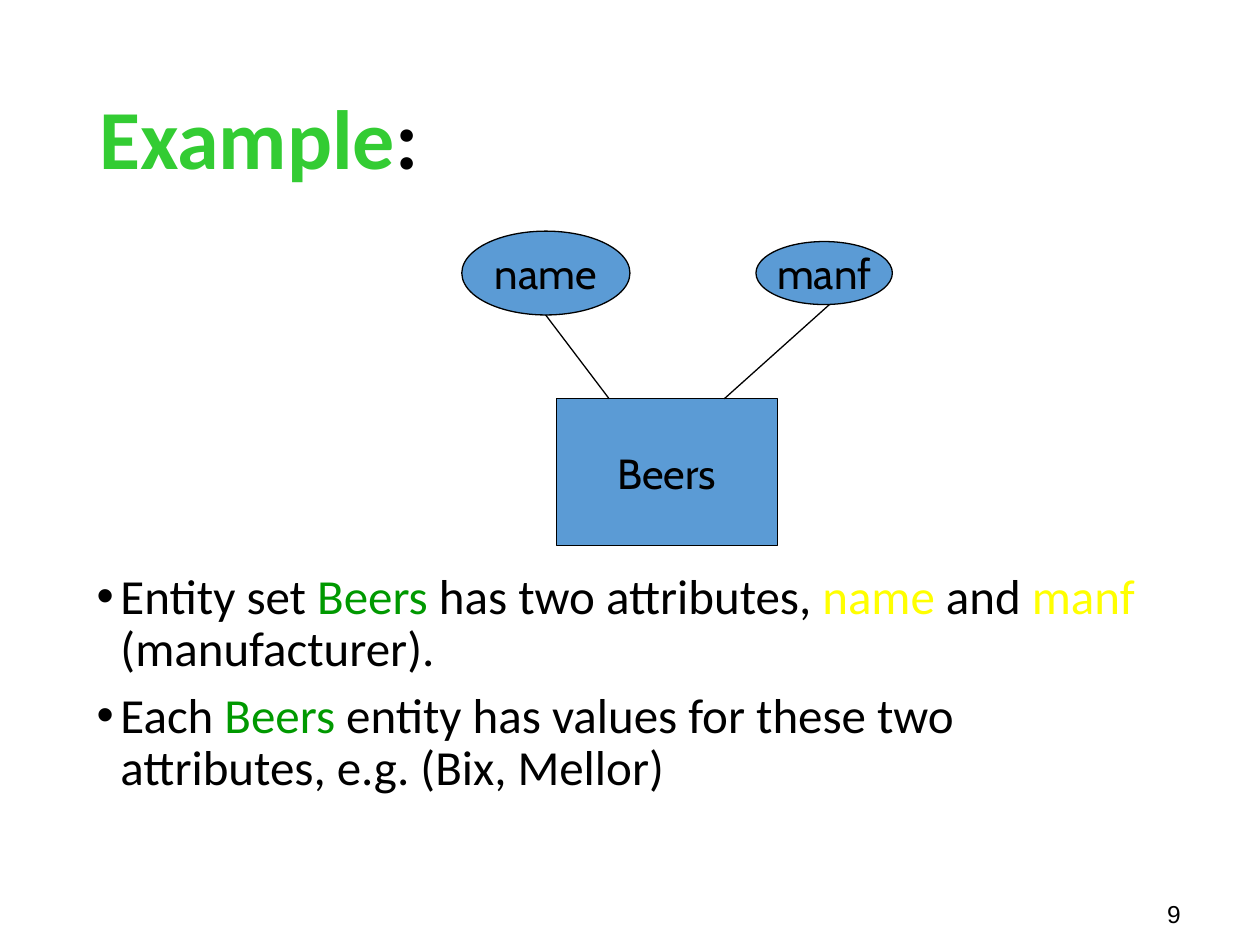
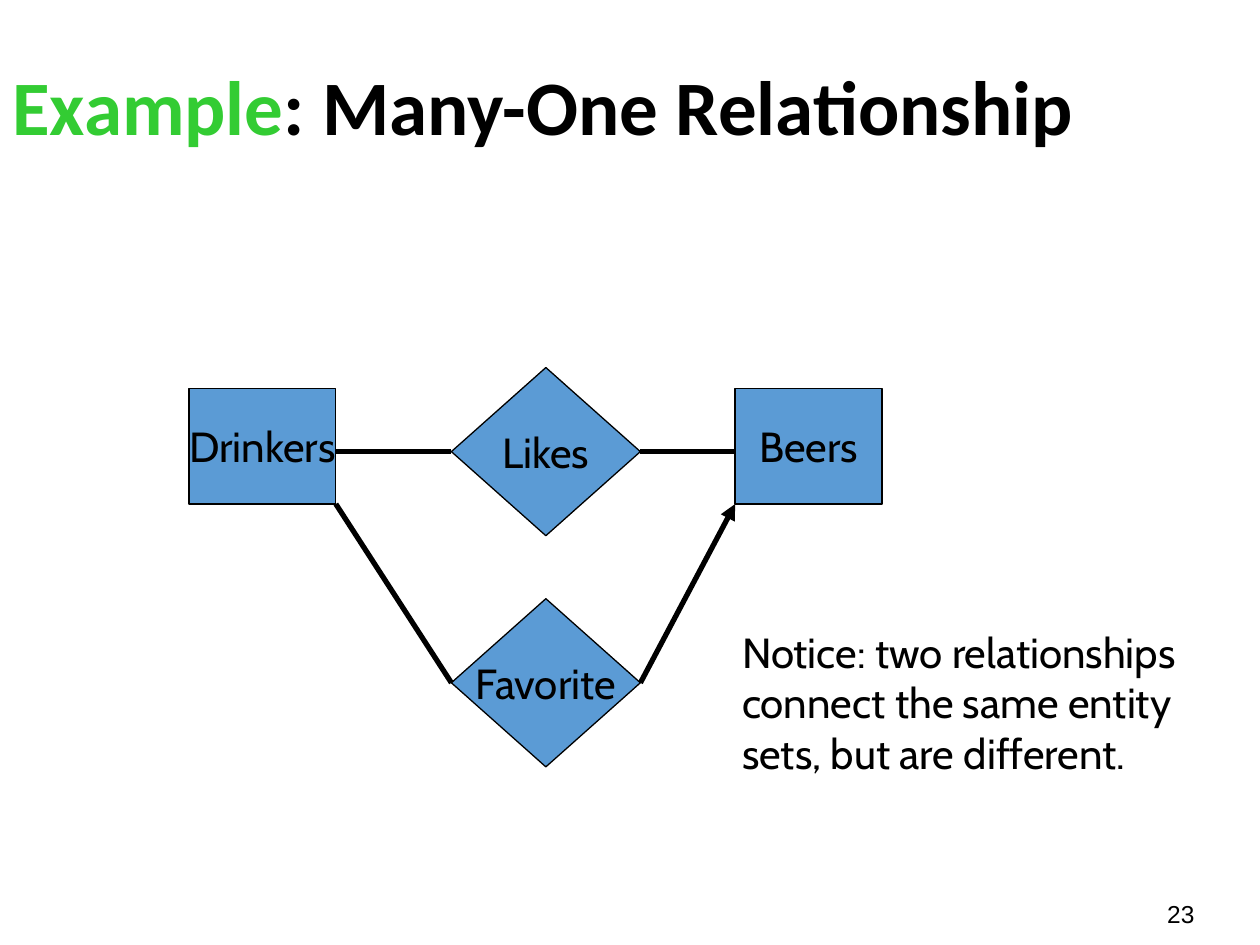
from lxml import etree
from pptx import Presentation
from pptx.dml.color import RGBColor
from pptx.enum.shapes import MSO_CONNECTOR, MSO_SHAPE
from pptx.enum.text import MSO_ANCHOR, PP_ALIGN
from pptx.oxml.ns import qn
from pptx.util import Cm, Pt

RECT, OVAL, DIAMOND = MSO_SHAPE.RECTANGLE, MSO_SHAPE.OVAL, MSO_SHAPE.DIAMOND
STRAIGHT = MSO_CONNECTOR.STRAIGHT
MIDDLE, CENTER = MSO_ANCHOR.MIDDLE, PP_ALIGN.CENTER
HEX = {"ink": "000000", "lead": "33CC33", "set": "009900",
       "attr": "FFFF00", "node": "5B9BD5"}
RGB = {name: RGBColor.from_string(code) for name, code in HEX.items()}


def fill_text(frame, paras, font, size, bold=False):
    """Write paragraphs, each a list of (text, colour name) runs."""
    for i, runs in enumerate(paras):
        para = frame.add_paragraph() if i else frame.paragraphs[0]
        for text, tint in runs:
            run = para.add_run()
            run.text = text
            run.font.name, run.font.size, run.font.bold = font, Pt(size), bold
            run.font.color.rgb = RGB[tint]


def add_box(slide, place, wrap=True):
    box = slide.shapes.add_textbox(*map(Cm, place))
    box.text_frame.word_wrap = wrap
    return box.text_frame


deck = Presentation()
deck.slide_width, deck.slide_height = Cm(25.4), Cm(19.05)
blank = deck.slide_layouts[6]

# Slide 2 grid: two entity boxes in a row, two diamonds in a column
box_w, box_h, box_y = 2.96, 2.33, 7.83
dia_w, dia_h, dia_x = 3.81, 3.39, 9.1
left_x, right_x = 3.81, 14.82
like_y, fav_y = 7.41, 12.07
like_mid, fav_mid = like_y + dia_h / 2, fav_y + dia_h / 2
left_end, dia_end, foot = left_x + box_w, dia_x + dia_w, box_y + box_h

# Nodes: shape, left, top, width, height, label
# Links: from x, from y, to x, to y, arrowhead
pages = [
    {"num": "9", "place": (1.75, 1.02, 21.92, 3.68), "size": 48, "rest": ":",
     "nodes": [(RECT, 11.22, 8.04, 4.45, 2.96, "Beers"),
               (OVAL, 9.31, 4.66, 3.39, 1.69, "name"),
               (OVAL, 15.24, 4.87, 2.75, 1.27, "manf")],
     "weight": 0.75,
     "links": [(11, 6.35, 12.28, 8.04, False),
               (16.72, 6.14, 14.6, 8.04, False)]},
    {"num": "23", "place": (0, 0.64, 25.4, 3.18), "size": 44,
     "rest": ": Many-One Relationship",
     "nodes": [(RECT, left_x, box_y, box_w, box_h, "Drinkers"),
               (RECT, right_x, box_y, box_w, box_h, "Beers"),
               (DIAMOND, dia_x, like_y, dia_w, dia_h, "Likes"),
               (DIAMOND, dia_x, fav_y, dia_w, dia_h, "Favorite")],
     "weight": 3,
     "links": [(left_end, like_mid, dia_x, like_mid, False),
               (dia_end, like_mid, right_x, like_mid, False),
               (left_end, foot, dia_x, fav_mid, False),
               (dia_end, fav_mid, right_x, foot, True)]},
]

slides = []
for page in pages:
    slide = deck.slides.add_slide(blank)
    slides.append(slide)
    fill_text(add_box(slide, (23.28, 17.99, 1.48, 0.86)),
              [[(page["num"], "ink")]], "Arial", 14)
    title = add_box(slide, page["place"])
    title.vertical_anchor = MIDDLE
    fill_text(title, [[("Example", "lead"), (page["rest"], "ink")]],
              "Calibri", page["size"], True)
    title.paragraphs[0].line_spacing = 0.9

    for kind, x, y, w, h, label in page["nodes"]:
        node = slide.shapes.add_shape(kind, Cm(x), Cm(y), Cm(w), Cm(h))
        node.shadow.inherit = False
        node.fill.solid()
        node.fill.fore_color.rgb = RGB["node"]
        node.line.color.rgb = RGB["ink"]
        node.line.width = Pt(0.75)
        frame = node.text_frame
        frame.word_wrap = False
        frame.vertical_anchor = MIDDLE
        fill_text(frame, [[(label, "ink")]], "Cabin", 24)
        frame.paragraphs[0].alignment = CENTER

    for *ends, arrow in page["links"]:
        link = slide.shapes.add_connector(STRAIGHT, *map(Cm, ends))
        link.line.color.rgb = RGB["ink"]
        link.line.width = Pt(page["weight"])
        props = link._element.spPr
        if arrow:
            etree.SubElement(props.find(qn("a:ln")), qn("a:tailEnd"),
                             type="triangle")
        etree.SubElement(props, qn("a:effectLst"))

# Slide 1: bullets under the diagram
body = add_box(slides[0], (1.7, 11.4, 21.59, 6))
fill_text(body, [
    [("Entity set ", "ink"), ("Beers", "set"), (" has two attributes, ", "ink"),
     ("name", "attr"), (" and ", "ink"), ("manf", "attr"),
     (" (manufacturer).", "ink")],
    [("Each ", "ink"), ("Beers", "set"),
     (" entity has values for these two attributes, e.g. (Bix, Mellor)", "ink")],
], "Calibri", 28)
for i, para in enumerate(body.paragraphs):
    para.line_spacing = 0.9
    para.space_before = Pt(7.5 if i else 0)
    props = para._p.get_or_add_pPr()
    props.set("marL", str(Cm(0.48)))
    props.set("indent", str(-Cm(0.48)))
    tint = etree.SubElement(props, qn("a:buClr"))
    etree.SubElement(tint, qn("a:srgbClr"), val=HEX["ink"])
    etree.SubElement(props, qn("a:buFont"), typeface="Arial")
    etree.SubElement(props, qn("a:buChar"), char="•")

# Slide 2: remark beside the diagram
note = ["Notice: two relationships", "connect the same entity",
        "sets, but are different."]
fill_text(add_box(slides[1], (14.71, 12.5, 10.36, 3.3), False),
          [[(line, "ink")] for line in note], "Cabin", 24)

deck.save("out.pptx")
